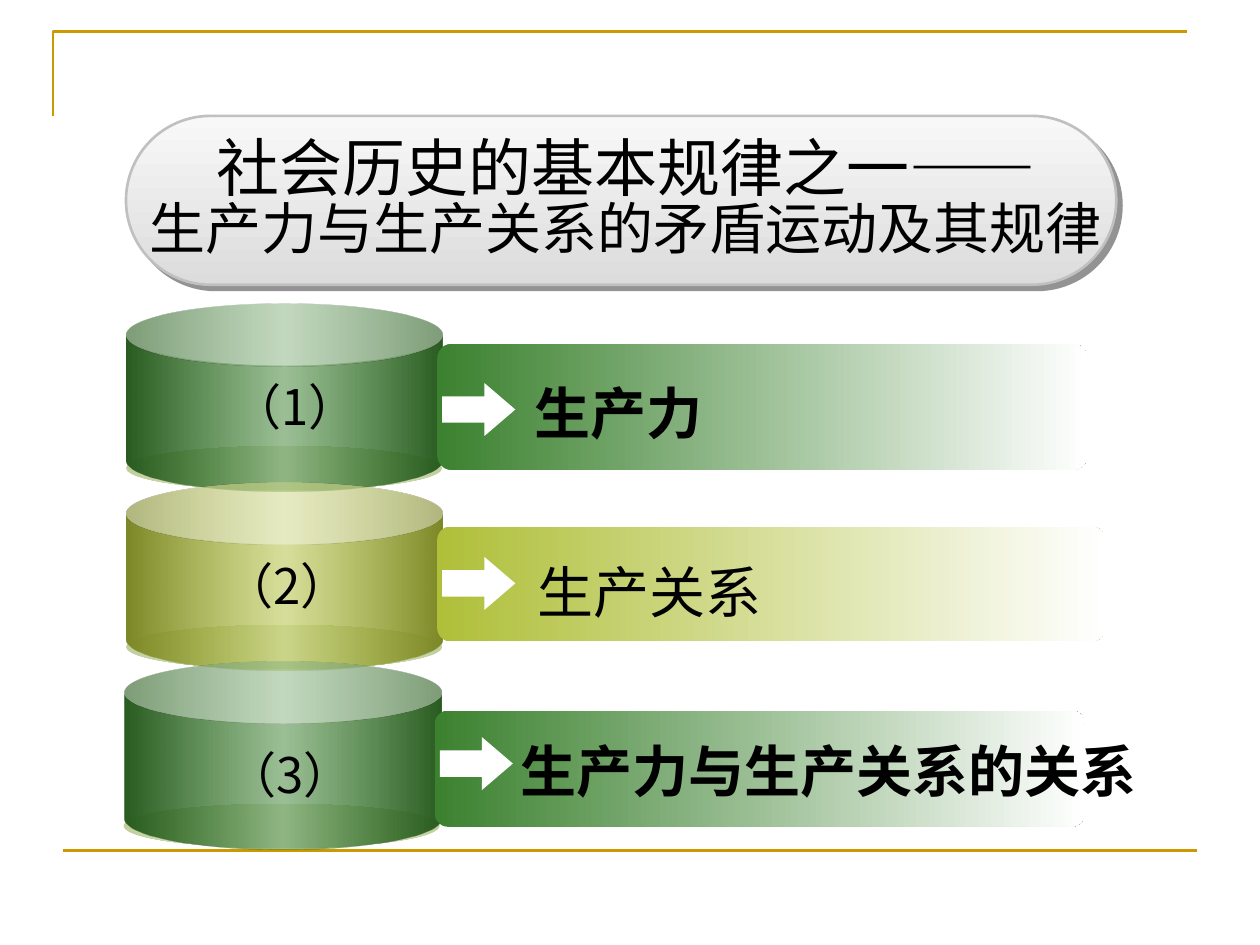
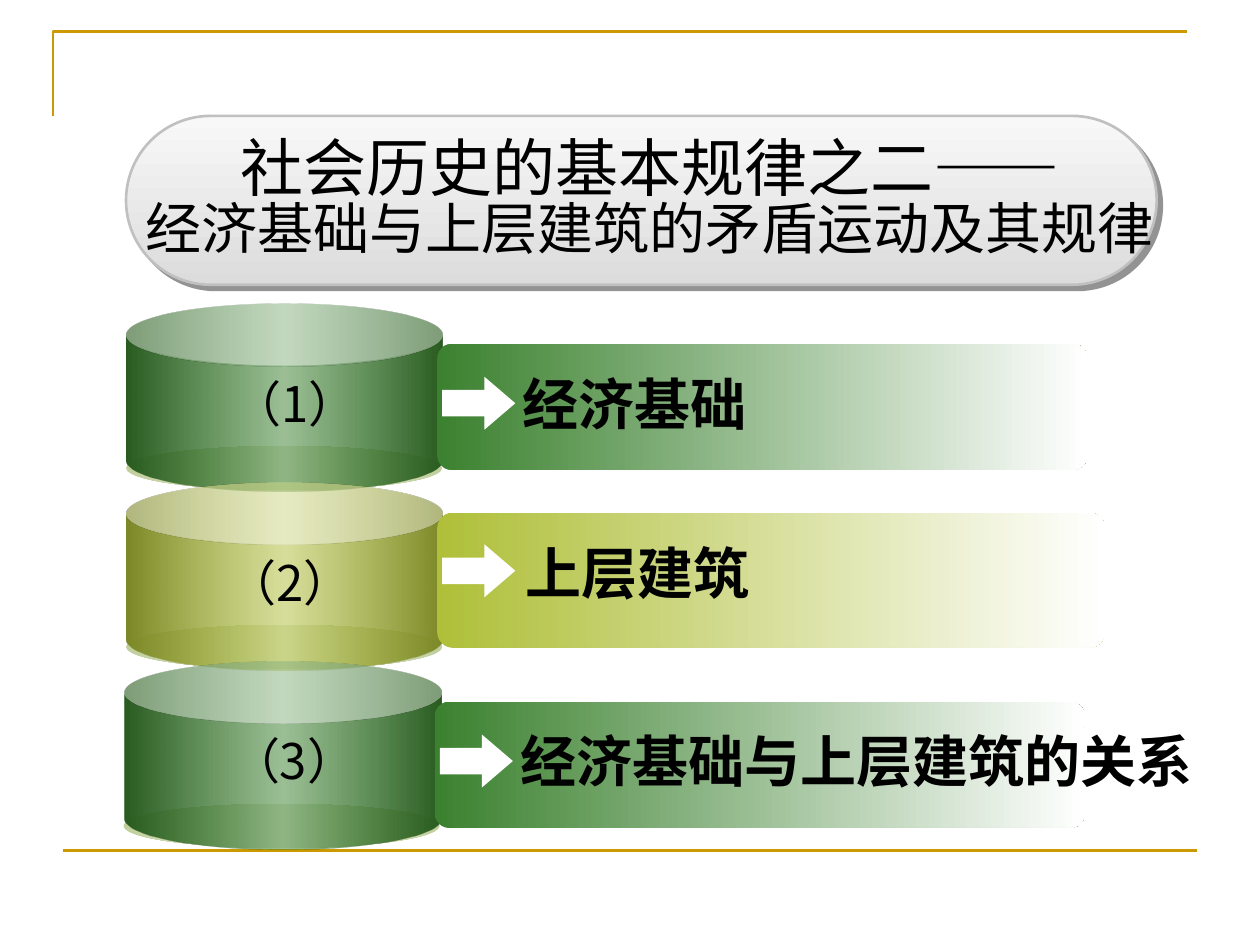
from dataclasses import dataclass

from lxml.etree import SubElement
from pptx import Presentation
from pptx.dml.color import RGBColor
from pptx.enum.shapes import MSO_CONNECTOR, MSO_SHAPE as Preset
from pptx.enum.text import MSO_ANCHOR, MSO_AUTO_SIZE, PP_ALIGN as Align
from pptx.oxml.ns import qn
from pptx.util import Inches, Pt


@dataclass(frozen=True)
class Theme:
    """Colours, font and type sizes of the deck."""
    font: str = "Noto Sans CJK SC"
    ink: str = "000000"
    paper: str = "FFFFFF"
    frame: str = "CC9900"
    green: str = "3B812F"
    olive: str = "AFBF39"
    rim: str = "C1CF9D"
    glow: str = "E7ECDC"
    silver: str = "F8F8F8"
    silver_edge: str = "C0C0C0"
    shadow: str = "292929"
    heading: int = 36
    topic: int = 32
    number: int = 28


@dataclass(frozen=True)
class Step:
    """One numbered topic, with places in grid units."""
    topic: str
    band: tuple
    arrow_top: float
    number_at: tuple
    topic_at: tuple
    bold: bool = True


THEME = Theme()
COLUMNS, ROWS = 100, 75
WIDTH, HEIGHT = Inches(10), Inches(7.5)
CYLINDER_TOP, CYLINDER_PITCH = 24.1, 14.2
STEP_COLOURS = (THEME.green, THEME.olive, THEME.green)
STEP_SHIFTS = (0, 0, -0.2)
BAND_WIDTHS = (51.6, 53, 51.6)

LAWS = (
    (("社会历史的基本规律之一——", "生产力与生产关系的矛盾运动及其规律"), 78.6, 79.5, (
        Step("生产力", (27.3, 10), 30.4, (23.4, 29.4), (41.4, 29.5)),
        Step("生产关系", (41.8, 9.1), 44.2, (22.8, 43.6), (41.7, 43.7), bold=False),
        Step("生产力与生产关系的关系", (56.4, 9.2), 58.5, (23, 58.6), (40.3, 57.9)),
    )),
    (("社会历史的基本规律之二——", "经济基础与上层建筑的矛盾运动及其规律"), 81.8, 83.4, (
        Step("经济基础", (27.3, 10), 29.9, (23.4, 29.1), (40.5, 28.8)),
        Step("上层建筑", (40.7, 10.7), 43.2, (23, 43.3), (40.7, 42.2)),
        Step("经济基础与上层建筑的关系", (55.7, 10), 58.3, (23.3, 57.5), (40.3, 57.1)),
    )),
)


def grid(left, top, *size):
    """Turn columns and rows into slide lengths."""
    return [int(units * (HEIGHT / ROWS if turn % 2 else WIDTH / COLUMNS))
            for turn, units in enumerate((left, top, *size))]


def rgb(colour):
    """Read a hex colour."""
    return RGBColor.from_string(colour)


def add_preset(slide, preset, place, fill=None, adjust=()):
    """Add a flat preset shape without outline."""
    shape = slide.shapes.add_shape(preset, *grid(*place))
    shape.shadow.inherit = False
    shape.line.fill.background()
    for index, value in enumerate(adjust):
        shape.adjustments[index] = value
    if fill:
        shape.fill.solid()
        shape.fill.fore_color.rgb = rgb(fill)
    return shape


def add_colour(parent, colour, **changes):
    """Append a colour with shade or alpha given in percent."""
    node = SubElement(parent, qn("a:srgbClr"), val=colour)
    for change, percent in changes.items():
        SubElement(node, qn(f"a:{change}"), val=str(int(percent * 1000)))


def fill_gradient(shape, *stops, angle=0):
    """Fill a shape with evenly spaced colour stops."""
    shape.fill.gradient()
    shape.fill.gradient_angle = angle
    stop_list = shape.element.xpath(".//a:gsLst")[0]
    stop_list.clear()
    for index, (colour, changes) in enumerate(stops):
        position = 100000 * index // (len(stops) - 1)
        add_colour(SubElement(stop_list, qn("a:gs"), pos=str(position)), colour, **changes)


def write(frame, lines, sizes, align=Align.LEFT, bold=False, spacing=None):
    """Write one formatted paragraph per line."""
    frame.word_wrap = True
    frame.auto_size = MSO_AUTO_SIZE.NONE
    frame.vertical_anchor = MSO_ANCHOR.MIDDLE
    for index, (line, size) in enumerate(zip(lines, sizes)):
        paragraph = frame.add_paragraph() if index else frame.paragraphs[0]
        paragraph.alignment = align
        paragraph.line_spacing = spacing
        run = paragraph.add_run()
        run.text = line
        run.font.size, run.font.bold = Pt(size), bold
        run.font.color.rgb = rgb(THEME.ink)
        run.font.name = THEME.font
        SubElement(run.font._element, qn("a:ea"), typeface=THEME.font)


def add_label(slide, text, place, size, **style):
    """Add a one-line text box."""
    box = slide.shapes.add_textbox(*grid(*place))
    write(box.text_frame, [text], [size], **style)


def add_frame(slide, layout):
    """Put the corner and base lines on the shared layout."""
    start, *others = (grid(*point) for point in ((4.2, 9.2), (4.2, 2.5), (94.2, 2.5)))
    builder = slide.shapes.build_freeform(*start)
    builder.add_line_segments(others, close=False)
    corner = builder.convert_to_shape()
    corner.fill.background()
    corner.shadow.inherit = False
    base = slide.shapes.add_connector(MSO_CONNECTOR.STRAIGHT, *grid(5, 67.5, 95, 67.5))
    SubElement(base.element.spPr, qn("a:effectLst"))
    for shape_id, edge in enumerate((corner, base), start=20):
        edge.line.color.rgb = rgb(THEME.frame)
        edge.line.width = Pt(1.5)
        edge.element.xpath(".//p:cNvPr")[0].set("id", str(shape_id))
        layout.shapes.element.append(edge.element)


def add_heading(slide, lines, capsule_width, text_width):
    """Set the title over a silver capsule."""
    capsule = add_preset(slide, Preset.ROUNDED_RECTANGLE, (10, 9.2, capsule_width, 13.4),
                         adjust=[0.5])
    fill_gradient(capsule, (THEME.silver, {}), (THEME.silver, {"shade": 76.47}), angle=270)
    capsule.line.color.rgb = rgb(THEME.silver_edge)
    capsule.line.width = Pt(1.5)
    effects = capsule.element.xpath(".//a:effectLst")[0]
    cast = SubElement(effects, qn("a:outerShdw"), dist=str(Pt(4.2)), dir="2700000",
                      algn="ctr", rotWithShape="0")
    add_colour(cast, THEME.shadow, alpha=50)
    title = slide.shapes.title
    title.left, title.top, title.width, title.height = grid(9.9, 9.7, text_width, 12.4)
    write(title.text_frame, lines, (THEME.heading, THEME.topic), Align.CENTER, spacing=0.84)
    capsule.element.addnext(title.element)


def add_step(slide, index, step):
    """Draw a numbered cylinder with its fading band, arrow and topic."""
    colour, shift = STEP_COLOURS[index], STEP_SHIFTS[index]
    top = CYLINDER_TOP + CYLINDER_PITCH * index
    base = add_preset(slide, Preset.OVAL, (10 + shift, top + 11.3, 25.1, 3.5))
    fill_gradient(base, (THEME.rim, {}), (THEME.glow, {}), (THEME.rim, {}))
    cylinder = add_preset(slide, Preset.CAN, (10 + shift / 2, top, 25.1, 14.9), adjust=[0.332])
    edge = (colour, {"shade": 46.27})
    fill_gradient(cylinder, edge, (colour, {"alpha": 50}), edge)
    band_top, band_height = step.band
    band = add_preset(slide, Preset.ROUNDED_RECTANGLE,
                      (34.7 + shift, band_top, BAND_WIDTHS[index], band_height), adjust=[0.115])
    fill_gradient(band, (colour, {}), (THEME.paper, {}))
    add_preset(slide, Preset.RIGHT_ARROW, (35.1 + shift, step.arrow_top, 5.8, 4.2),
               THEME.paper, adjust=[0.5, 0.583])
    centre, number_top = step.number_at
    add_label(slide, f"（{index + 1}）", (centre - 12, number_top, 24, 5.7), THEME.number,
              align=Align.CENTER)
    add_label(slide, step.topic, (*step.topic_at, 59.7, 6.4), THEME.topic, bold=step.bold)


def main():
    """Build both slides and save the deck."""
    deck = Presentation()
    deck.slide_width, deck.slide_height = WIDTH, HEIGHT
    layout = deck.slide_layouts[5]
    for number, (heading, capsule_width, text_width, steps) in enumerate(LAWS):
        slide = deck.slides.add_slide(layout)
        if number == 0:
            add_frame(slide, layout)
        add_heading(slide, heading, capsule_width, text_width)
        for index, step in enumerate(steps):
            add_step(slide, index, step)
    deck.save("out.pptx")


if __name__ == "__main__":
    main()
